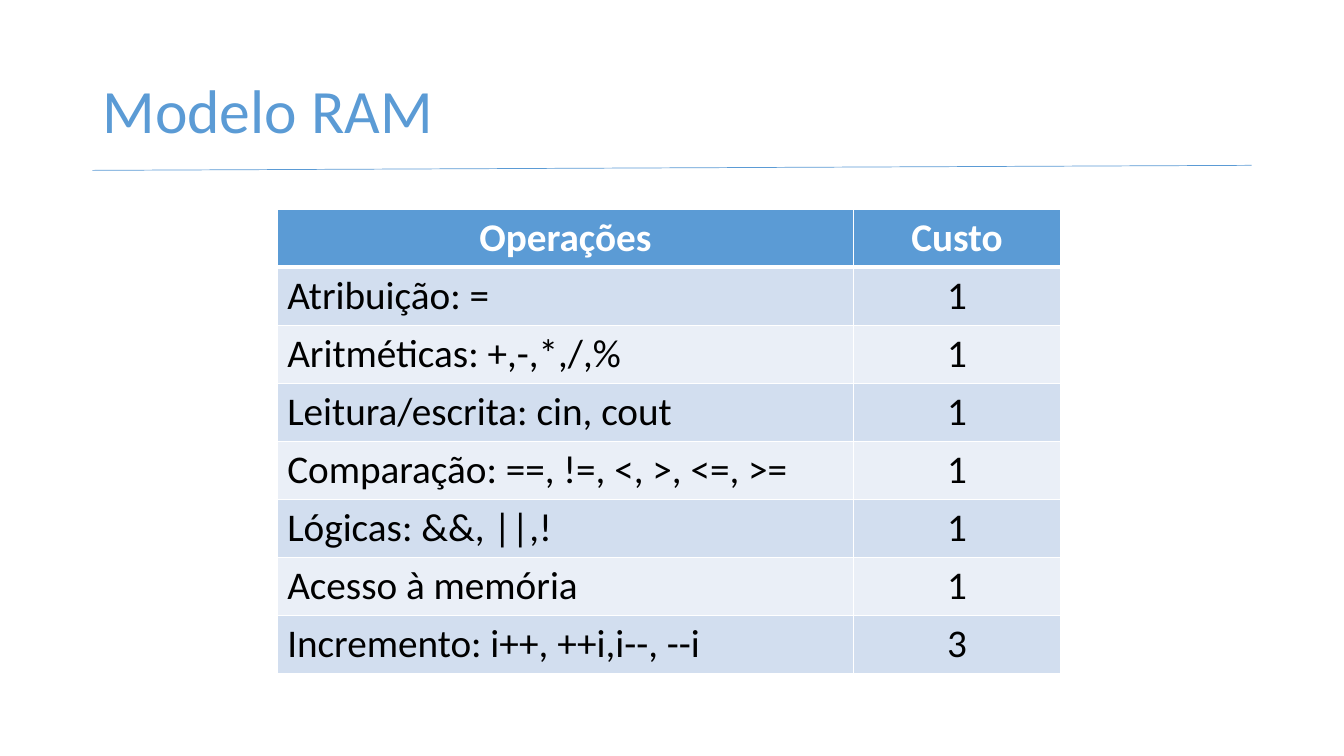
from dataclasses import dataclass

from lxml.etree import SubElement
from pptx import Presentation
from pptx.dml.color import RGBColor
from pptx.enum.shapes import MSO_CONNECTOR
from pptx.enum.text import MSO_ANCHOR, PP_ALIGN
from pptx.oxml import parse_xml
from pptx.oxml.ns import nsdecls, qn
from pptx.util import Pt


@dataclass(frozen=True)
class Theme:
    font: str = "Calibri"
    accent: str = "5B9BD5"
    text: str = "000000"
    white: str = "FFFFFF"
    bands: tuple = ("D2DEEF", "EAEFF7")
    title_size: int = 44
    table_size: int = 28


THEME = Theme()

HEADER = ("Operações", "Custo")
COSTS = [
    ("Atribuição: =", 1),
    ("Aritméticas: +,-,*,/,%", 1),
    ("Leitura/escrita: cin, cout", 1),
    ("Comparação: ==, !=, <, >, <=, >=", 1),
    ("Lógicas: &&, ||,!", 1),
    ("Acesso à memória", 1),
    ("Incremento: i++, ++i,i--, --i", 3),
]


def write(tf, text, *, size, color, bold=False, align=PP_ALIGN.LEFT, spacing=None):
    """Put one formatted paragraph in a text frame."""
    p = tf.paragraphs[0]
    p.alignment = align
    p.line_spacing = spacing
    r = p.add_run()
    r.text = text
    r.font.name = THEME.font
    r.font.size = Pt(size)
    r.font.bold = bold
    r.font.color.rgb = RGBColor.from_string(color)


def add_title(slide, text, left, top, width, height):
    sp = slide.shapes.title
    sp.left, sp.top, sp.width, sp.height = Pt(left), Pt(top), Pt(width), Pt(height)
    sp.text_frame.vertical_anchor = MSO_ANCHOR.MIDDLE
    write(sp.text_frame, text, size=THEME.title_size, color=THEME.accent, spacing=0.9)


def add_rule(slide, x1, y1, x2, y2):
    line = slide.shapes.add_connector(
        MSO_CONNECTOR.STRAIGHT, Pt(x1), Pt(y1), Pt(x2), Pt(y2))
    line.line.color.rgb = RGBColor.from_string(THEME.accent)
    line.line.width = Pt(0.5)
    SubElement(line._element.spPr, qn("a:effectLst"))


def set_borders(cell, **widths):
    """Draw white borders; widths are given in points by side: L, R, T, B."""
    tc_pr = cell._tc.get_or_add_tcPr()
    for i, (side, width) in enumerate(widths.items()):
        tc_pr.insert(i, parse_xml(
            f'<a:ln{side} {nsdecls("a")} w="{Pt(width)}"><a:solidFill>'
            f'<a:srgbClr val="{THEME.white}"/></a:solidFill></a:ln{side}>'))


def add_cost_table(slide, rows, left, top, col_widths, row_height):
    frame = slide.shapes.add_table(
        len(rows), len(col_widths), Pt(left), Pt(top),
        Pt(sum(col_widths)), Pt(row_height * len(rows)))
    table = frame.table
    for column, width in zip(table.columns, col_widths):
        column.width = Pt(width)
    for i, row in enumerate(rows):
        header = i == 0
        fill = THEME.accent if header else THEME.bands[(i - 1) % 2]
        for j, value in enumerate(row):
            cell = table.cell(i, j)
            cell.fill.solid()
            cell.fill.fore_color.rgb = RGBColor.from_string(fill)
            # The thick edge lies between the header and the first row
            set_borders(cell, L=1, R=1, T=3 if i == 1 else 1, B=3 if header else 1)
            centred = header or j > 0
            write(cell.text_frame, str(value), size=THEME.table_size, bold=header,
                  color=THEME.white if header else THEME.text,
                  align=PP_ALIGN.CENTER if centred else PP_ALIGN.LEFT)


def main():
    prs = Presentation()
    prs.slide_width, prs.slide_height = Pt(960), Pt(540)
    slide = prs.slides.add_slide(prs.slide_layouts[5])

    # Heading with its rule
    add_title(slide, "Modelo RAM", 66, 28.75, 828, 104.4)

    # Operation costs
    add_cost_table(slide, [HEADER, *COSTS], left=198, top=149.4,
                   col_widths=(411.8, 147.6), row_height=40.8)

    add_rule(slide, 66, 121.7, 894, 118.1)

    prs.save("out.pptx")


main()
